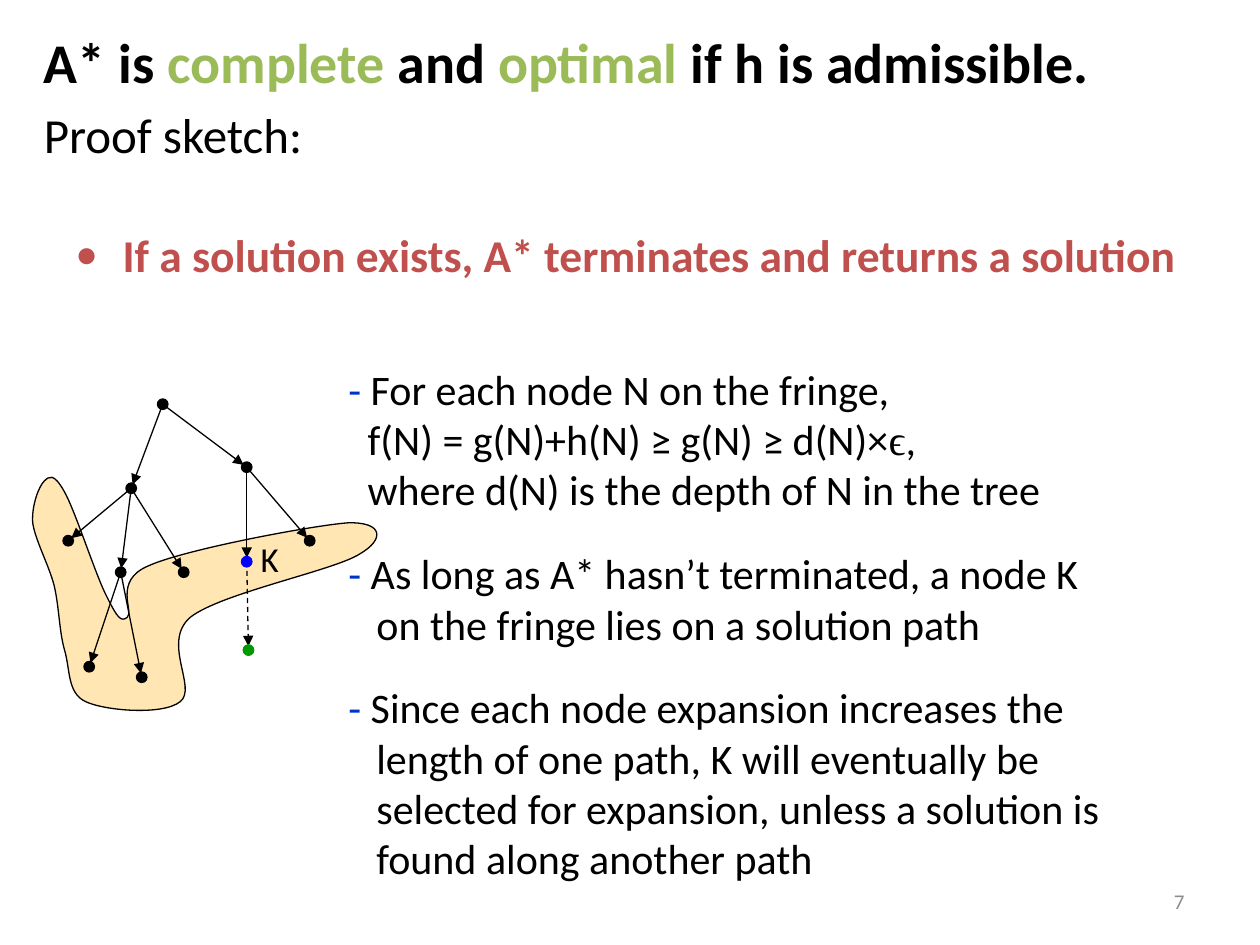
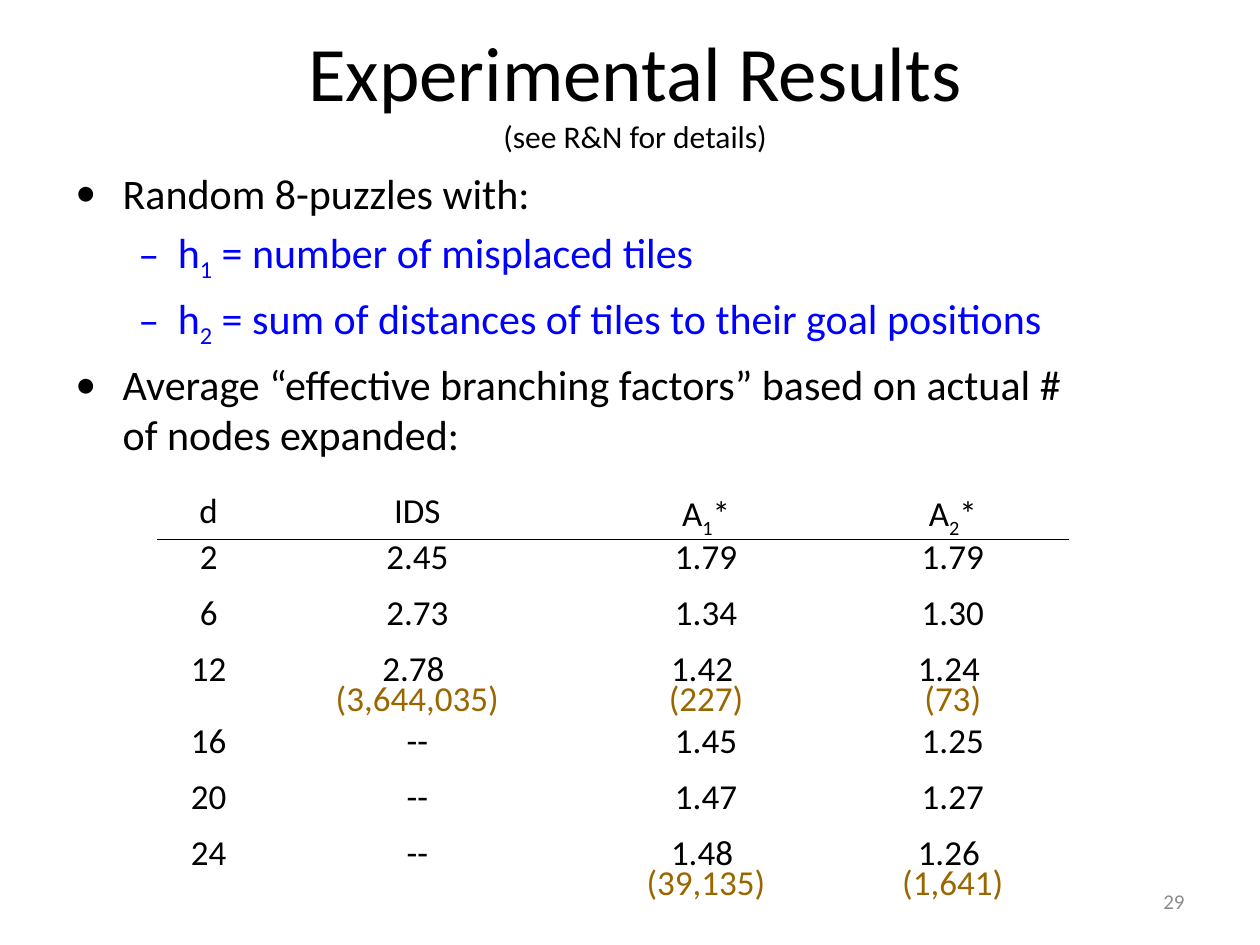
"""Builds two slides on A* search: a completeness proof sketch and experimental results."""
import math

from lxml import etree
from pptx import Presentation
from pptx import util as u
from pptx.dml.color import RGBColor
from pptx.enum import dml, shapes, text
from pptx.oxml.ns import qn

COLORS = {
    "black": "000000", "grey": "8C8C8C", "dash": "0033CC", "blue": "0000FF",
    "green": "9BBB59", "red": "C0504D", "goal": "009900", "fringe": "FFE6B3",
    "count": "996600",
}
FONT = "Calibri"
CENTER, RIGHT = text.PP_ALIGN.CENTER, text.PP_ALIGN.RIGHT
TOP, MIDDLE = text.MSO_ANCHOR.TOP, text.MSO_ANCHOR.MIDDLE


def write(frame, paragraphs, size, align=None):
    """Fill a text frame with (format, runs) paragraphs."""
    for index, (style, runs) in enumerate(paragraphs):
        paragraph = frame.paragraphs[0] if index == 0 else frame.add_paragraph()
        paragraph.alignment = align
        paragraph.line_spacing = style.get("spacing")
        paragraph.space_before = u.Pt(style.get("before", 0))
        properties = paragraph._p.get_or_add_pPr()
        if "margin" in style:
            properties.set("marL", str(u.Pt(style["margin"])))
            properties.set("indent", str(u.Pt(style["indent"])))
        if "bullet" in style:
            etree.SubElement(properties, qn("a:buFont")).set("typeface", FONT)
            etree.SubElement(properties, qn("a:buChar")).set("char", style["bullet"])
        for content, color, *options in runs:
            extra = options[0] if options else {}
            for number, line in enumerate(content.split("\n")):
                if number:
                    paragraph.add_line_break()
                if not line:
                    continue
                run = paragraph.add_run()
                run.text = line
                run.font.name = extra.get("font", FONT)
                run.font.size = u.Pt(extra.get("size", style.get("size", size)))
                run.font.bold = style.get("bold", False)
                run.font.color.rgb = RGBColor.from_string(COLORS[color])
                if "base" in extra:
                    run.font._element.set("baseline", str(extra["base"]))


def add_text(slide, box, paragraphs, size, align=None, anchor=TOP, wrap=True):
    """Add a text box at (left, top, width, height) in points."""
    frame = slide.shapes.add_textbox(*map(u.Pt, box)).text_frame
    frame.word_wrap = wrap
    frame.vertical_anchor = anchor
    write(frame, paragraphs, size, align)


presentation = Presentation()
presentation.slide_width, presentation.slide_height = u.Pt(720), u.Pt(540)
blank = presentation.slide_layouts[6]
proof, results = (presentation.slides.add_slide(blank) for _ in range(2))
for slide, number in ((proof, "7"), (results, "29")):
    add_text(slide, (516, 500.5, 168, 28.75), [({}, [(number, "grey")])], 12, RIGHT, MIDDLE)

hanging = {"margin": 27, "indent": -27}
bullet = {**hanging, "bullet": "•", "before": 5}
sub_bullet = {"margin": 58.5, "indent": -22.5, "bullet": "–", "before": 5}
subscript = {"base": -25000}

add_text(proof, (192, 204, 516, 310), [
    ({"margin": 11, "indent": -11, "before": 4.8}, [
        ("-", "dash"),
        (" For each node N on the fringe,\nf(N) = g(N)+h(N) ≥ g(N) ≥ d(N)×", "black"),
        ("ϵ", "black", {"font": "Times New Roman"}),
        (",\nwhere d(N) is the depth of N in the tree", "black")]),
    ({"margin": 16, "indent": -16, "before": 19}, [
        ("-", "dash"),
        (" As long as A* hasn’t terminated, a node K\n"
         "on the fringe lies on a solution path", "black")]),
    ({"margin": 16, "indent": -16, "before": 19}, [
        ("-", "dash"),
        (" Since each node expansion increases the\n"
         "length of one path, K will eventually be\n"
         "selected for expansion, unless a solution is\n"
         "found along another path", "black")]),
], 24)

fringe_start = (25.2, 275)
fringe_curves = [
    ((28.1, 272.2), (30.6, 270), (36.7, 280.8)),
    ((43.2, 292.3), (54.7, 329), (61.2, 341.3)),
    ((67, 352.8), (69.1, 355.7), (72.7, 352.8)),
    ((77, 349.9), (64.1, 331.9), (85, 323.3)),
    ((105.8, 313.9), (179.3, 300.2), (198.7, 298.8)),
    ((218.9, 298.1), (220.3, 308.2), (205.2, 316.8)),
    ((190.1, 326.2), (126, 339.1), (108.7, 352.8)),
    ((92.2, 367.2), (113, 393.1), (103, 401)),
    ((92.9, 409), (59.8, 406.1), (49, 401)),
    ((38.2, 396), (40.3, 382.3), (36.7, 370.8)),
    ((33.8, 360), (33.8, 347), (31, 334.8)),
    ((28.1, 323.3), (20.2, 308.9), (18.7, 298.8)),
    ((18, 288.7), (22.3, 277.9), fringe_start),
]
builder = proof.shapes.build_freeform(
    100 * fringe_start[0], 100 * fringe_start[1], scale=u.Pt(1) / 100)
builder.add_line_segments(
    [(100 * x, 100 * y) for curve in fringe_curves for x, y in curve], close=True)
fringe = builder.convert_to_shape()
segments = list(fringe._element.iter(qn("a:lnTo")))
for first in range(0, len(segments), 3):
    curve = etree.Element(qn("a:cubicBezTo"))
    segments[first].addprevious(curve)
    for segment in segments[first:first + 3]:
        curve.append(segment[0])
        segment.getparent().remove(segment)
fringe.shadow.inherit = False
fringe.fill.solid()
fringe.fill.fore_color.rgb = RGBColor.from_string(COLORS["fringe"])
fringe.line.color.rgb = RGBColor.from_string(COLORS["black"])
fringe.line.width = u.Pt(0.75)

radius, tip_gap = 3, 2.25
nodes = {
    "root": (93, 231), "left": (75, 279), "right": (141, 267),
    "far left": (39, 309), "middle left": (69, 327), "middle right": (105, 327),
    "K": (141, 321), "far right": (177, 309),
    "leaf left": (51, 381), "leaf right": (81, 387), "goal": (142, 371.5),
}
node_colors = {"K": "blue", "goal": "goal"}
children = {
    "root": ("left", "right"),
    "left": ("far left", "middle left", "middle right"),
    "right": ("K", "far right"),
    "middle left": ("leaf left", "leaf right"),
    "K": ("goal",),
}
for parent, names in children.items():
    for child in names:
        (x1, y1), (x2, y2) = nodes[parent], nodes[child]
        share = 1 - tip_gap / math.hypot(x2 - x1, y2 - y1)
        edge = proof.shapes.add_connector(
            shapes.MSO_CONNECTOR.STRAIGHT, u.Pt(x1), u.Pt(y1),
            u.Pt(x1 + share * (x2 - x1)), u.Pt(y1 + share * (y2 - y1)))
        edge.line.color.rgb = RGBColor.from_string(COLORS["black"])
        edge.line.width = u.Pt(0.75)
        if child == "goal":
            edge.line.dash_style = dml.MSO_LINE.DASH
        etree.SubElement(edge.line._get_or_add_ln(), qn("a:tailEnd")).set("type", "triangle")
        etree.SubElement(edge._element.spPr, qn("a:effectLst"))
for name, (x, y) in nodes.items():
    dot = proof.shapes.add_shape(
        shapes.MSO_SHAPE.OVAL, u.Pt(x - radius), u.Pt(y - radius),
        u.Pt(2 * radius), u.Pt(2 * radius))
    color = RGBColor.from_string(COLORS[node_colors.get(name, "black")])
    dot.shadow.inherit = False
    dot.fill.solid()
    dot.fill.fore_color.rgb = color
    dot.line.color.rgb = color
    dot.line.width = u.Pt(0.75)
add_text(proof, (141.8, 303.4, 26, 32), [({}, [("K", "black")])], 20, wrap=False)

add_text(proof, (18, 12, 678, 356), [
    ({**hanging, "before": 6.4, "bold": True}, [
        ("A* is ", "black"), ("complete", "green"), (" and ", "black"),
        ("optimal ", "green"), ("if h is admissible.", "black")]),
    ({**hanging, "before": 5.6, "size": 28}, [("Proof sketch:", "black")]),
], 32)
add_text(proof, (36, 126, 648, 356), [
    ({**bullet, "bold": True}, [
        ("If a solution exists, A* terminates and returns a solution", "red")]),
], 26)

add_text(results, (36, 6, 654, 90), [
    ({}, [("Experimental Results\n", "black"),
          ("(see R&N for details)", "black", {"size": 18})]),
], 44, CENTER, MIDDLE)
add_text(results, (36, 92, 588, 384), [
    (bullet, [("Random 8-puzzles with:", "black")]),
    (sub_bullet, [("h", "blue"), ("1", "blue", subscript),
                  (" = number of misplaced tiles", "blue")]),
    (sub_bullet, [("h", "blue"), ("2", "blue", subscript),
                  (" = sum of distances of tiles to their goal positions", "blue")]),
    (bullet, [("Average “effective branching factors” based on actual # "
               "of nodes expanded:", "black")]),
], 24)

branching_factors = [
    (("d",), ("IDS",), ("A", "1", "*"), ("A", "2", "*")),
    ("2", "2.45", "1.79", "1.79"),
    ("6", "2.73", "1.34", "1.30"),
    ("12", "2.78 \n(3,644,035)", "1.42 \n(227)", "1.24 \n(73)"),
    ("16", "--", "1.45", "1.25"),
    ("20", "--", "1.47", "1.27"),
    ("24", "--", "1.48 \n(39,135)", "1.26 \n(1,641)"),
]
column_widths = (58.5, 180, 150, 132)
row_heights = (24, 32, 32, 32, 32, 32, 14.5)
table = results.shapes.add_table(
    len(row_heights), len(column_widths), u.Pt(90), u.Pt(282),
    u.Pt(sum(column_widths)), u.Pt(sum(row_heights))).table
table.first_row = table.horz_banding = False
for column, width in zip(table.columns, column_widths):
    column.width = u.Pt(width)
for row, height in zip(table.rows, row_heights):
    row.height = u.Pt(height)
tight = {"spacing": 0.7}
for row_index, values in enumerate(branching_factors):
    for column_index, value in enumerate(values):
        cell = table.cell(row_index, column_index)
        if row_index == 0:
            paragraphs = [(tight, [(part, "black", subscript if part.isdigit() else {})
                                   for part in value])]
        else:
            paragraphs = [(tight, [(line, "count" if line.startswith("(") else "black")])
                          for line in value.split("\n")]
        write(cell.text_frame, paragraphs, 20, CENTER)
        if row_index < 2:
            side = "a:lnB" if row_index == 0 else "a:lnT"
            border = etree.SubElement(cell._tc.get_or_add_tcPr(), qn(side), w=str(u.Pt(1)))
            fill = etree.SubElement(border, qn("a:solidFill"))
            etree.SubElement(fill, qn("a:srgbClr"), val=COLORS["black"])
        cell.fill.background()

presentation.save("out.pptx")
